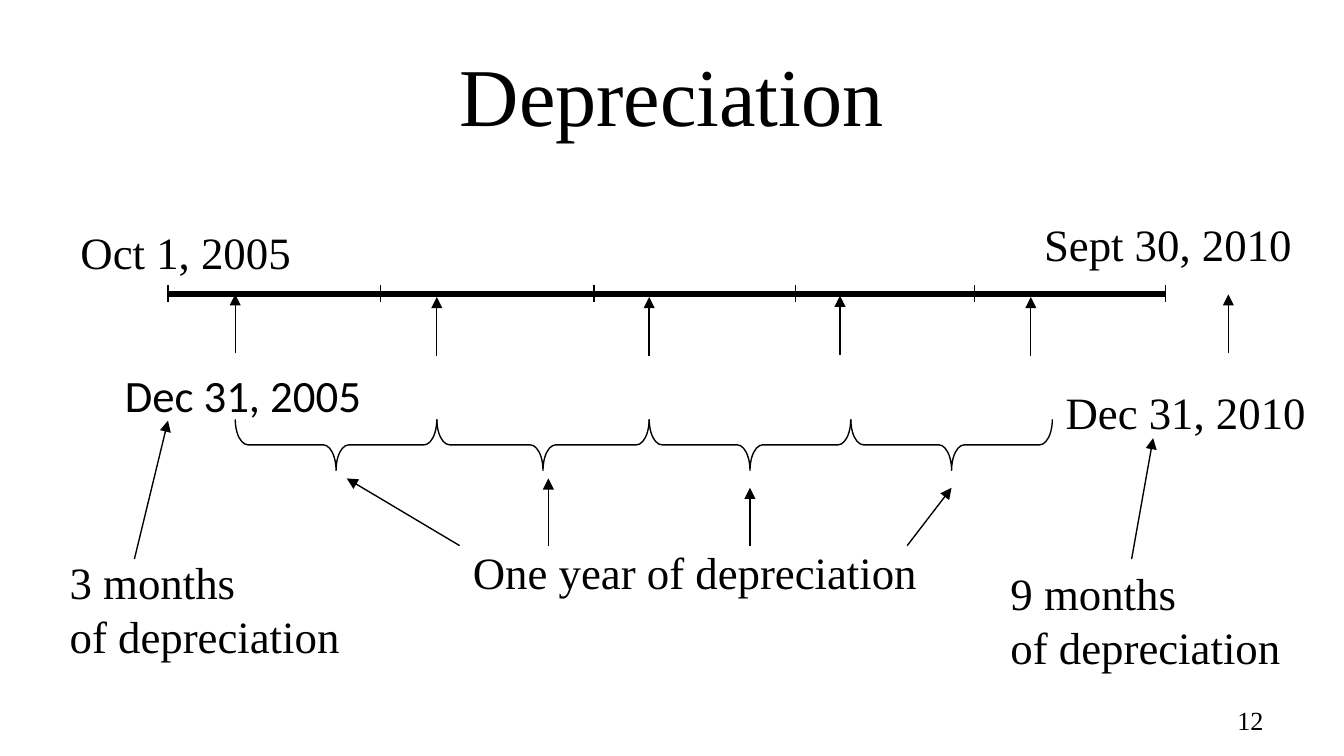
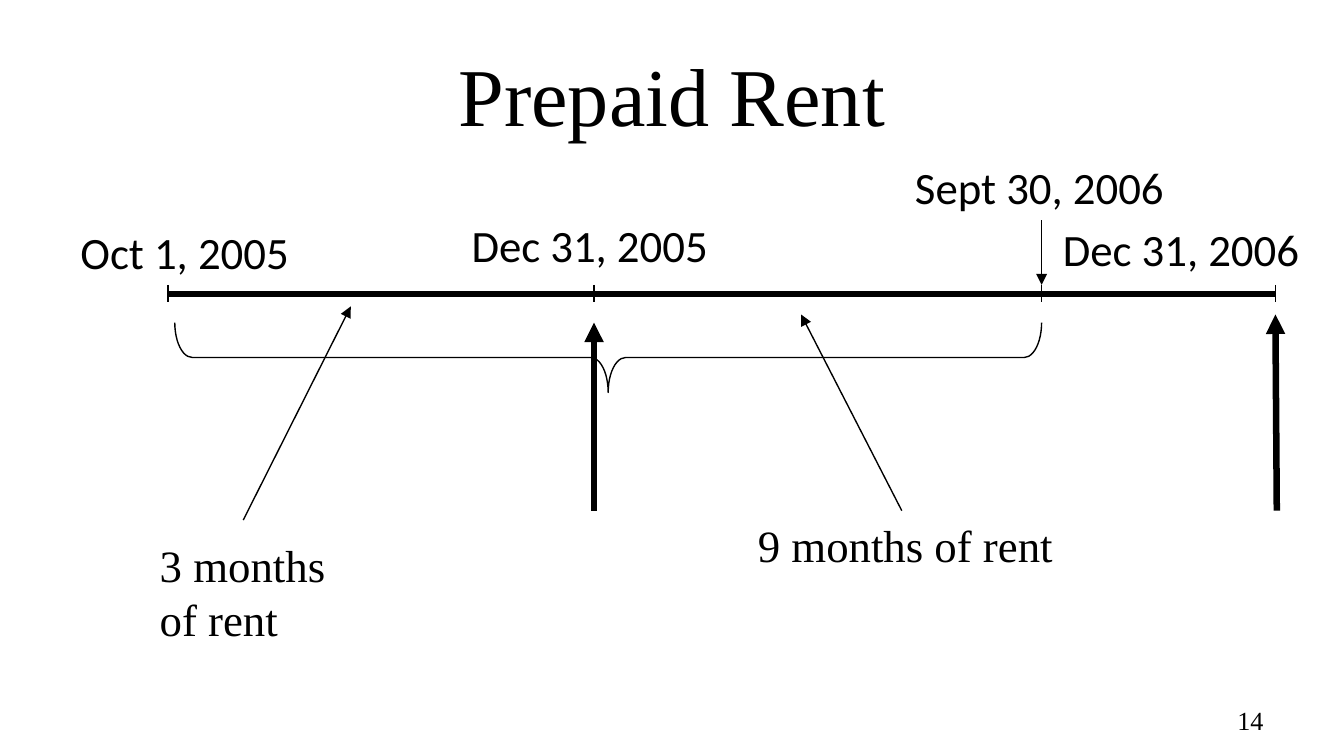
"""Builds two timeline slides: depreciation and prepaid rent."""
import itertools

import lxml.etree
import pptx
import pptx.dml.color
import pptx.enum.shapes
import pptx.enum.text
import pptx.oxml.ns
import pptx.util

BLACK = pptx.dml.color.RGBColor(0, 0, 0)
WHITE = pptx.dml.color.RGBColor(255, 255, 255)
SERIF, SANS = "Times New Roman", "Calibri"
WIDTH = 10
HEIGHT = WIDTH * 9 / 16
THIN, AXIS, BOLD = 0.75, 3, 3.5
AXIS_Y, TICK_TOP, TICK_BOTTOM = 2.19, 2.12, 2.25
TITLE_SIZE, LABEL_SIZE, NUMBER_SIZE = 44, 24, 14
LEFT, CENTER, RIGHT = (pptx.enum.text.PP_ALIGN.LEFT, pptx.enum.text.PP_ALIGN.CENTER,
                       pptx.enum.text.PP_ALIGN.RIGHT)
TOP, MIDDLE = pptx.enum.text.MSO_ANCHOR.TOP, pptx.enum.text.MSO_ANCHOR.MIDDLE

YEAR_EDGES = [1.75, 3.25, 4.83, 6.33, 7.83]
YEAR_END_TIPS = [(1.75, 2.19), (3.25, 2.21), (4.83, 2.21),
                 (6.25, 2.2), (7.67, 2.21), (9.14, 2.19)]
POINTER_LENGTH = 0.44

SLIDES = [
    {
        "title": "Depreciation",
        "number": "12",
        "ticks": [1.25, 2.83, 4.42, 5.92, 7.25, 8.67],
        "labels": [
            ("Oct 1, 2005", SERIF, 0.5, 1.62, 1.78),
            ("Sept 30, 2010", SERIF, 7.67, 1.56, 2.06),
            ("Dec 31, 2005", SANS, 0.83, 2.69, 2.01),
            ("Dec 31, 2010", SERIF, 7.83, 2.81, 2.01),
            ("One year of depreciation", SERIF, 3.42, 4, 3.53),
            ("3 months\nof depreciation", SERIF, 0.42, 4.08, 2.23),
            ("9 months\nof depreciation", SERIF, 7.42, 4.16, 2.23),
        ],
        "arrows": [((x, y + POINTER_LENGTH), (x, y), THIN) for x, y in YEAR_END_TIPS] + [
            ((3.42, 4.06), (2.58, 3.56), THIN),
            ((4.08, 4.06), (4.08, 3.56), THIN),
            ((5.58, 4.06), (5.58, 3.63), THIN),
            ((6.75, 4.06), (7.08, 3.63), THIN),
            ((1, 4.16), (1.25, 3.13), THIN),
            ((8.42, 4.16), (8.58, 3.26), THIN),
        ],
        "braces": [(start, end, 3.12, 0.38) for start, end in itertools.pairwise(YEAR_EDGES)],
    },
    {
        "title": "Prepaid Rent",
        "number": "14",
        "ticks": [1.25, 4.42, 7.75, 9.49],
        "labels": [
            ("Oct 1, 2005", SANS, 0.5, 1.62, 1.78),
            ("Dec 31, 2005", SANS, 3.41, 1.57, 2.01),
            ("Dec 31, 2006", SANS, 7.81, 1.6, 1.97),
            ("Sept 30, 2006", SANS, 6.71, 1.14, 2.07),
            ("3 months\nof rent", SERIF, 1.09, 3.95, 1.44),
            ("9 months of rent", SERIF, 5.54, 3.8, 2.68),
        ],
        "arrows": [
            ((4.42, 3.8), (4.42, 2.4), BOLD),
            ((9.5, 3.8), (9.49, 2.34), BOLD),
            ((1.81, 3.87), (2.61, 2.28), THIN),
            ((6.71, 3.8), (5.96, 2.34), THIN),
            ((7.75, 1.64), (7.75, 2.12), THIN),
        ],
        "braces": [(1.3, 7.75, 2.4, 0.52)],
    },
]


def inches(*lengths):
    return [pptx.util.Inches(length) for length in lengths]


def add_text(page, text, font, size, left, top, width, height, align=LEFT, wrap=False,
             anchor=TOP):
    frame = page.shapes.add_textbox(*inches(left, top, width, height)).text_frame
    frame.word_wrap = wrap
    frame.vertical_anchor = anchor
    frame.text = text
    for para in frame.paragraphs:
        para.alignment = align
        para.font.name = font
        para.font.size = pptx.util.Pt(size)
        para.font.color.rgb = BLACK


def add_line(page, start, end, weight, arrow=False):
    line = page.shapes.add_connector(
        pptx.enum.shapes.MSO_CONNECTOR.STRAIGHT, *inches(*start, *end))
    line.line.color.rgb = BLACK
    line.line.width = pptx.util.Pt(weight)
    properties = line._element.spPr
    if arrow:
        outline = properties.find(pptx.oxml.ns.qn("a:ln"))
        lxml.etree.SubElement(outline, pptx.oxml.ns.qn("a:tailEnd"), type="triangle")
    lxml.etree.SubElement(properties, pptx.oxml.ns.qn("a:effectLst"))


def add_brace(page, start, end, top, depth):
    span = end - start
    left = (start + end - depth) / 2
    brace = page.shapes.add_shape(
        pptx.enum.shapes.MSO_SHAPE.RIGHT_BRACE,
        *inches(left, top + (depth - span) / 2, depth, span))
    brace.rotation = 90
    brace.adjustments[0] = 0.25
    brace.shadow.inherit = False
    brace.fill.background()
    brace.line.color.rgb = BLACK
    brace.line.width = pptx.util.Pt(THIN)


def add_page(deck, content):
    page = deck.slides.add_slide(deck.slide_layouts[6])
    page.background.fill.solid()
    page.background.fill.fore_color.rgb = WHITE
    add_text(page, content["number"], SERIF, NUMBER_SIZE, 7.17, 5.21, 2.33, 0.3,
             RIGHT, True, MIDDLE)
    add_text(page, content["title"], SERIF, TITLE_SIZE, 0.5, 0.23, 9, 0.94,
             CENTER, True, MIDDLE)
    ticks = content["ticks"]
    add_line(page, (ticks[0], AXIS_Y), (ticks[-1], AXIS_Y), AXIS)
    for x in ticks:
        add_line(page, (x, TICK_TOP), (x, TICK_BOTTOM), THIN)
    for brace in content["braces"]:
        add_brace(page, *brace)
    for arrow in content["arrows"]:
        add_line(page, *arrow, arrow=True)
    for text, font, left, top, width in content["labels"]:
        height = 0.1 + 0.41 * len(text.split("\n"))
        add_text(page, text, font, LABEL_SIZE, left, top, width, height)


def main():
    deck = pptx.Presentation()
    deck.slide_width, deck.slide_height = inches(WIDTH, HEIGHT)
    for content in SLIDES:
        add_page(deck, content)
    deck.save("out.pptx")


if __name__ == "__main__":
    main()
